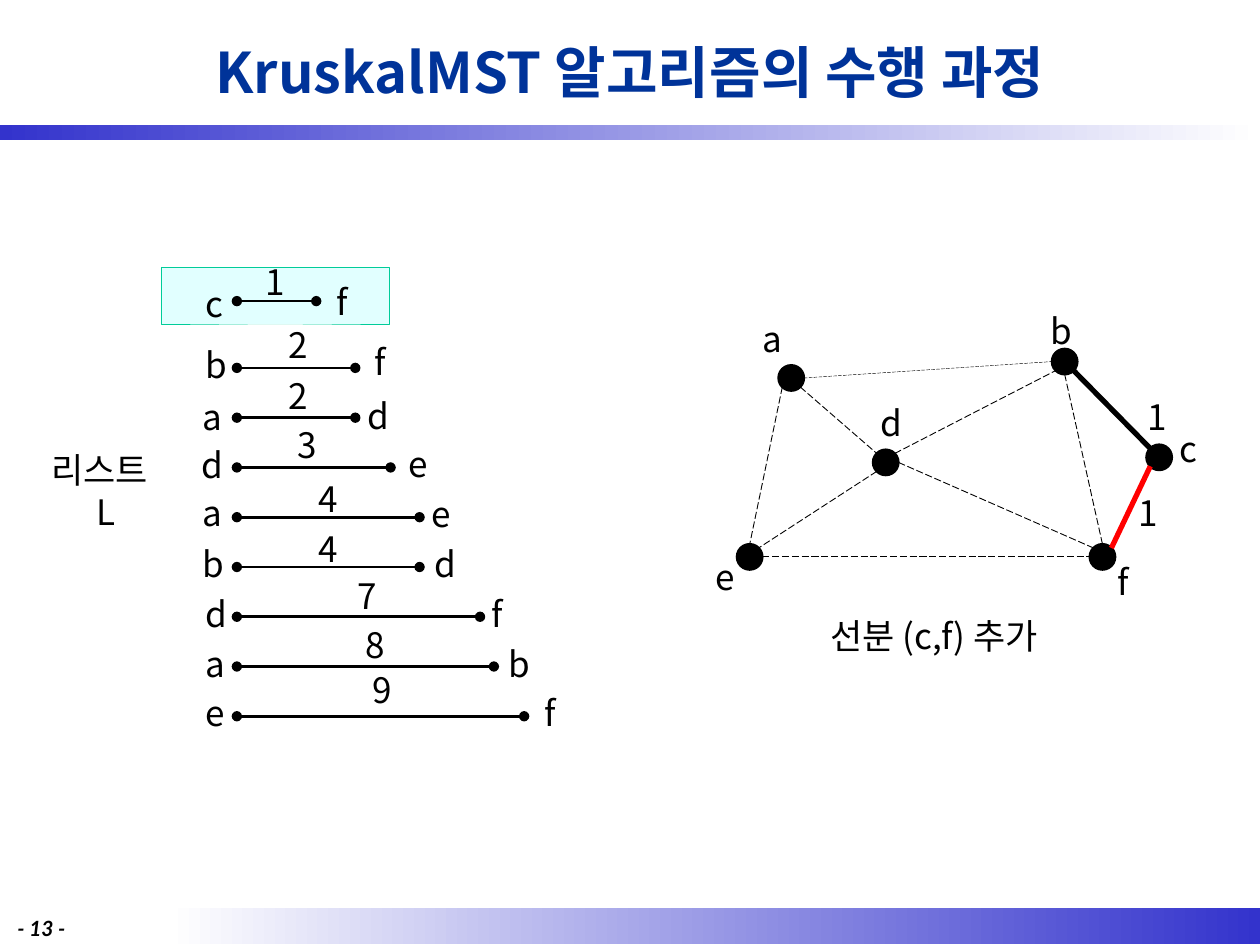
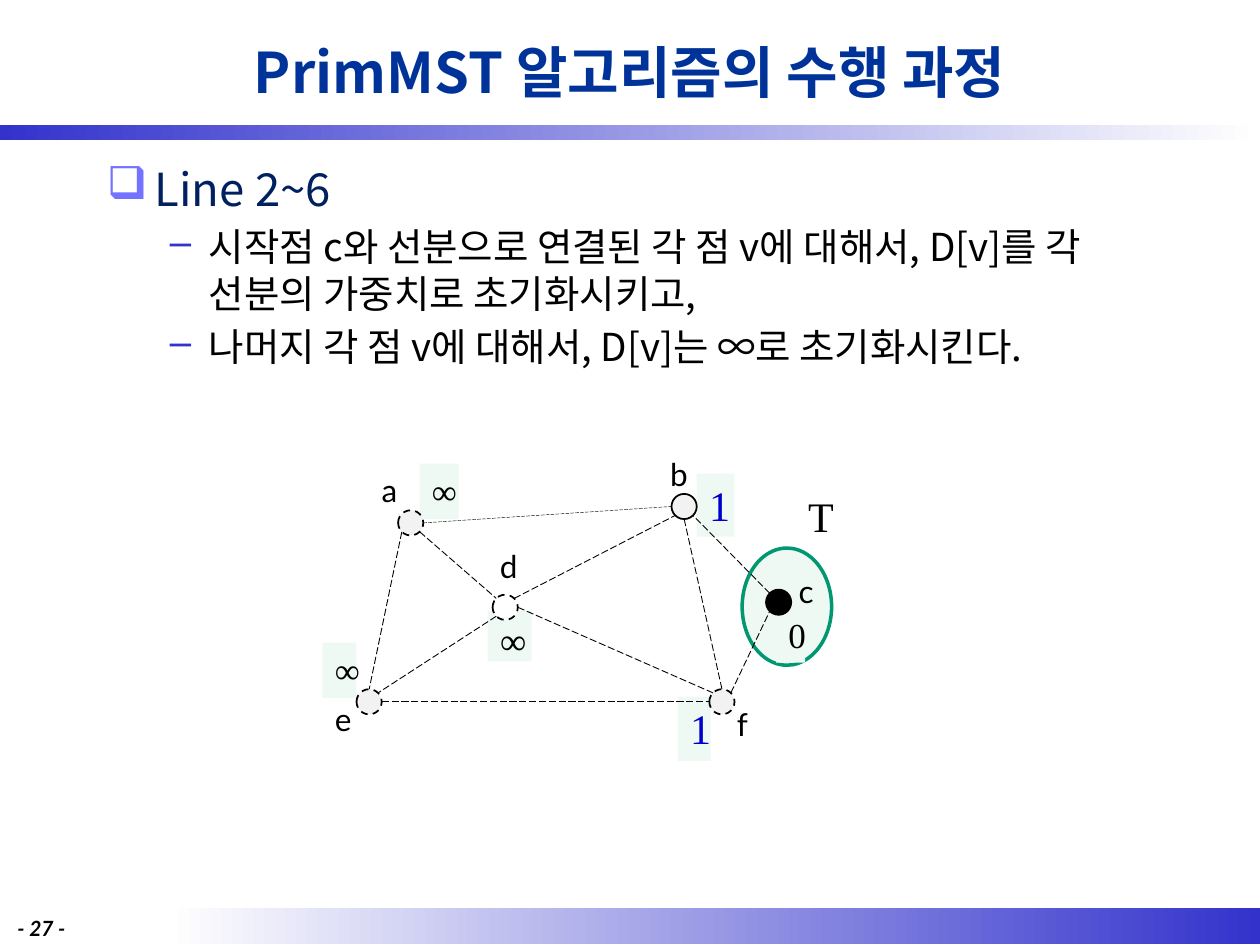
"""Build two slides that trace minimum spanning tree algorithms."""
import math
from dataclasses import dataclass

import lxml.etree
import pptx
import pptx.dml.color
import pptx.enum.dml
import pptx.enum.shapes
import pptx.enum.text
import pptx.oxml.ns
import pptx.util

Inches = pptx.util.Inches
Pt = pptx.util.Pt
SHAPE = pptx.enum.shapes.MSO_SHAPE
DASH = pptx.enum.dml.MSO_LINE
ALIGN = pptx.enum.text.PP_ALIGN


@dataclass(frozen=True)
class Theme:
    """Hold the colours, fonts and type sizes."""
    black: str = "000000"
    white: str = "FFFFFF"
    band: str = "3333CC"
    title: str = "003399"
    head: str = "002060"
    box: str = "7373FF"
    red: str = "FF0000"
    blue: str = "0000CC"
    cyan: str = "E1FFFF"
    teal: str = "00CC99"
    mint: str = "EEF9F4"
    green: str = "009771"
    gray: str = "F2F2F2"
    sans: str = "Noto Sans CJK KR"
    lato: str = "Lato"
    serif: str = "Times New Roman"
    big: int = 32
    lead: int = 26
    large: int = 24
    item: int = 22
    body: int = 20
    small: int = 18
    foot: int = 12


T = Theme()
RADIUS = 0.1
NODES = {"a": (6.28, 3), "b": (8.45, 2.87), "d": (7.03, 3.67),
         "e": (5.95, 4.42), "c": (9.2, 3.63), "f": (8.75, 4.42)}
LABELS = {"a": (5.95, 2.47), "b": (8.24, 2.41), "c": (9.26, 3.34),
          "d": (6.89, 3.14), "e": (5.58, 4.36), "f": (8.77, 4.4)}
SIDES = ("E", "SE", "S", "SW", "W", "NW", "N", "NE")
EDGES = (("ad", "SE", "NW"), ("de", "SW", "NE"), ("ae", "SW", "N"),
         ("df", "E", "NW"), ("ef", "E", "W"), ("ab", "E", "W"),
         ("db", "NE", "SW"), ("cb", "NW", "SE"), ("fc", "NE", "SW"),
         ("bf", "S", "N"))
ROWS = (
    ("c1f", 2.51, (1.53, 2.19), (2.01, 2.02), (2.57, 2.18)),
    ("b2f", 2.82, (1.53, 2.68), (2.19, 2.52), (2.87, 2.65)),
    ("a2d", 2.82, (1.51, 3.09), (2.19, 2.92), (2.82, 3.08)),
    ("d3e", 3.1, (1.5, 3.47), (2.26, 3.31), (3.14, 3.46)),
    ("a4e", 3.33, (1.51, 3.85), (2.43, 3.74), (3.33, 3.86)),
    ("b4d", 3.33, (1.51, 4.26), (2.43, 4.14), (3.35, 4.26)),
    ("d7f", 3.81, (1.53, 4.65), (2.74, 4.51), (3.8, 4.65)),
    ("a8b", 3.92, (1.53, 5.05), (2.8, 4.9), (3.94, 5.05)),
    ("e9f", 4.16, (1.53, 5.44), (2.86, 5.26), (4.22, 5.44)),
)
WIDTHS = {"c": 0.34, "f": 0.29, "a": 0.35, "e": 0.36}


def paint(color):
    """Turn a hex string into a colour."""
    return pptx.dml.color.RGBColor.from_string(color)


def add(parent, tag, **attrs):
    """Append a drawing element to an XML parent."""
    return lxml.etree.SubElement(parent, pptx.oxml.ns.qn(tag), attrs)


def style(para, size, color, font, bold=False, slant=False):
    """Format every run of a paragraph."""
    for run in para.runs:
        run.font.size = Pt(size)
        run.font.bold = bold
        run.font.italic = slant
        run.font.color.rgb = paint(color)
        run.font.name = font
        add(run.font._element, "a:ea", typeface=font)


def text(slide, at, words, size=T.body, color=T.black, font=T.sans,
         align=None, wrap=True, grow=True, fill=None, **marks):
    """Place a text box and return its frame."""
    shape = slide.shapes.add_textbox(*map(Inches, at))
    frame = shape.text_frame
    frame.word_wrap = wrap
    if grow:
        frame.auto_size = pptx.enum.text.MSO_AUTO_SIZE.SHAPE_TO_FIT_TEXT
    if fill:
        shape.fill.solid()
        shape.fill.fore_color.rgb = paint(fill)
    frame.text = words
    for para in frame.paragraphs:
        para.alignment = align
        style(para, size, color, font, **marks)
    return frame


def mark(slide, spot, word, size=T.body, font=T.sans):
    """Place a short label without wrapping."""
    height = 0.44 if size == T.body else 0.4
    text(slide, (*spot, WIDTHS.get(word, 0.37), height), word, size,
         font=font, wrap=False)


def shape(slide, kind, at, fill, color, width, dash=None):
    """Draw a filled and outlined shape."""
    form = slide.shapes.add_shape(kind, *map(Inches, at))
    form.shadow.inherit = False
    form.fill.solid()
    form.fill.fore_color.rgb = paint(fill)
    form.line.color.rgb = paint(color)
    form.line.width = Pt(width)
    if dash:
        form.line.dash_style = dash


def band(slide, at, start, end):
    """Draw a band that fades from left to right."""
    form = slide.shapes.add_shape(SHAPE.RECTANGLE, *map(Inches, at))
    form.shadow.inherit = False
    form.line.fill.background()
    form.fill.gradient()
    form.fill.gradient_angle = 0
    for stop, color, place in zip(form.fill.gradient_stops, (start, end), (0, 1)):
        stop.color.rgb = paint(color)
        stop.position = place


def line(slide, start, end, color=T.black, width=1.5, dash=None, dots=False):
    """Draw a straight line, with round ends if asked."""
    link = slide.shapes.add_connector(
        pptx.enum.shapes.MSO_CONNECTOR.STRAIGHT, *map(Inches, (*start, *end)))
    link.line.color.rgb = paint(color)
    link.line.width = Pt(width)
    if dash:
        link.line.dash_style = dash
    if dots:
        rule = link.line._get_or_add_ln()
        add(rule, "a:headEnd", type="oval")
        add(rule, "a:tailEnd", type="oval")
    add(link._element.spPr, "a:effectLst")


def frame(deck, title, page):
    """Add a slide with its bands, title and page number."""
    slide = deck.slides.add_slide(deck.slide_layouts[6])
    band(slide, (1.33, 7.21, 8.67, 0.28), T.white, T.band)
    band(slide, (0, 0.99, 10, 0.12), T.band, T.white)
    head = text(slide, (0.75, 0.05, 8.5, 1.03), title, T.big, T.title,
                align=ALIGN.CENTER, grow=False, bold=True)
    head.vertical_anchor = pptx.enum.text.MSO_ANCHOR.MIDDLE
    text(slide, (0.04, 7.22, 0.71, 0.24), f"- {page} -", T.foot,
         font=T.lato, grow=False, bold=True, slant=True)
    return slide


def rim(name, side, shift):
    """Find the point on a node's rim that faces a side."""
    angle = math.radians(45 * SIDES.index(side))
    x, y = NODES[name]
    return (x + shift[0] + RADIUS * math.cos(angle),
            y + shift[1] + RADIUS * math.sin(angle))


def graph(slide, shift, looks, width, strong, labels, size, font):
    """Draw the nodes, edges and letters of the graph."""
    for name, (x, y) in NODES.items():
        fill, dash = looks.get(name, (T.black, None))
        at = (x + shift[0] - RADIUS, y + shift[1] - RADIUS,
              2 * RADIUS, 2 * RADIUS)
        shape(slide, SHAPE.OVAL, at, fill, T.black, width, dash)
    for pair, *sides in EDGES:
        ends = [rim(name, side, shift) for name, side in zip(pair, sides)]
        if pair in strong:
            line(slide, *ends, strong[pair], 3)
        else:
            thin = 0.25 if pair == "ab" else 0.5
            line(slide, *ends, width=thin, dash=DASH.LONG_DASH)
    for name, (x, y) in labels.items():
        mark(slide, (x + shift[0], y + shift[1]), name, size, font)


def queue(slide):
    """Draw the list of edges sorted by weight."""
    shape(slide, SHAPE.RECTANGLE, (1.28, 2.12, 1.81, 0.45), T.cyan, T.teal, 0.25)
    for i, (words, end, *spots) in enumerate(ROWS):
        y = 2.525 + 0.395 * i if i else 2.39
        line(slide, (end, y), (1.88, y), dots=True)
        for word, spot in zip(words, spots):
            mark(slide, spot, word)
    name = text(slide, (0.31, 3.51, 1.07, 0.77), "리스트\nL")
    name.paragraphs[1].alignment = ALIGN.CENTER


def points(slide, rows):
    """Write the bulleted text."""
    body = text(slide, (0.75, 1.23, 8.5, 5.98),
                "\n".join(words for words, _ in rows), grow=False)
    kinds = ((0.38, -0.38, "❑", T.box, T.lead, T.head),
             (0.81, -0.31, "–", T.band, T.item, T.black))
    for para, (_, level) in zip(body.paragraphs, rows):
        left, first, sign, tint, size, color = kinds[level]
        para.level = level
        para.space_before = Pt(0.2 * size)
        props = para._p.get_or_add_pPr()
        props.set("marL", str(Inches(left)))
        props.set("indent", str(Inches(first)))
        add(add(props, "a:buClr"), "a:srgbClr", val=tint)
        add(props, "a:buChar", char=sign)
        for run in para.runs:
            run.font.size = Pt(size)
            run.font.color.rgb = paint(color)


def kruskal(deck):
    """Build the slide on Kruskal's method."""
    slide = frame(deck, "KruskalMST 알고리즘의 수행 과정", 13)
    queue(slide)
    graph(slide, (0, 0), {}, 1.5, {"cb": T.black, "fc": T.red},
          LABELS, T.body, T.sans)
    for spot in ((8.94, 3.85), (9.01, 3.09)):
        mark(slide, spot, "1")
    text(slide, (6.49, 4.83, 2.1, 0.44), "선분 (c,f) 추가")


def prim(deck):
    """Build the slide on Prim's method."""
    slide = frame(deck, "PrimMST 알고리즘의 수행 과정", 27)
    points(slide, (
        ("Line 2~6", 0),
        ("시작점 c와 선분으로 연결된 각 점 v에 대해서, D[v]를 "
         "각 선분의 가중치로 초기화시키고,", 1),
        ("나머지 각 점 v에 대해서, D[v]는 ∞로 초기화시킨다.", 1)))
    shape(slide, SHAPE.OVAL, (5.89, 4.35, 0.71, 0.93), T.mint, T.green, 2)
    costs = (("∞", (3.33, 3.68, 0.31, 0.44), T.body, T.black),
             ("1", (5.53, 3.76, 0.3, 0.5), T.large, T.blue),
             ("0", (6.16, 4.82, 0.23, 0.44), T.body, T.black),
             ("1", (5.38, 5.53, 0.26, 0.51), T.large, T.blue),
             ("∞", (3.87, 4.85, 0.35, 0.4), T.body + 1, T.black),
             ("∞", (2.56, 5.1, 0.27, 0.44), T.body, T.black))
    for cost, at, size, color in costs:
        text(slide, at, cost, size, color, T.serif, ALIGN.CENTER, fill=T.mint)
    looks = dict.fromkeys("aef", (T.gray, DASH.DASH))
    looks |= {"b": (T.gray, None), "d": (T.white, DASH.DASH)}
    graph(slide, (-3.02, 1.15), looks, 1, {},
          LABELS | {"a": (5.95, 2.54)}, T.small, T.lato)
    text(slide, (6.24, 3.84, 0.55, 0.5), "T", T.large, font=T.serif,
         align=ALIGN.CENTER)


def main():
    """Build and save the deck."""
    deck = pptx.Presentation()
    deck.slide_width = Inches(10)
    deck.slide_height = Inches(7.5)
    kruskal(deck)
    prim(deck)
    deck.save("out.pptx")


if __name__ == "__main__":
    main()
